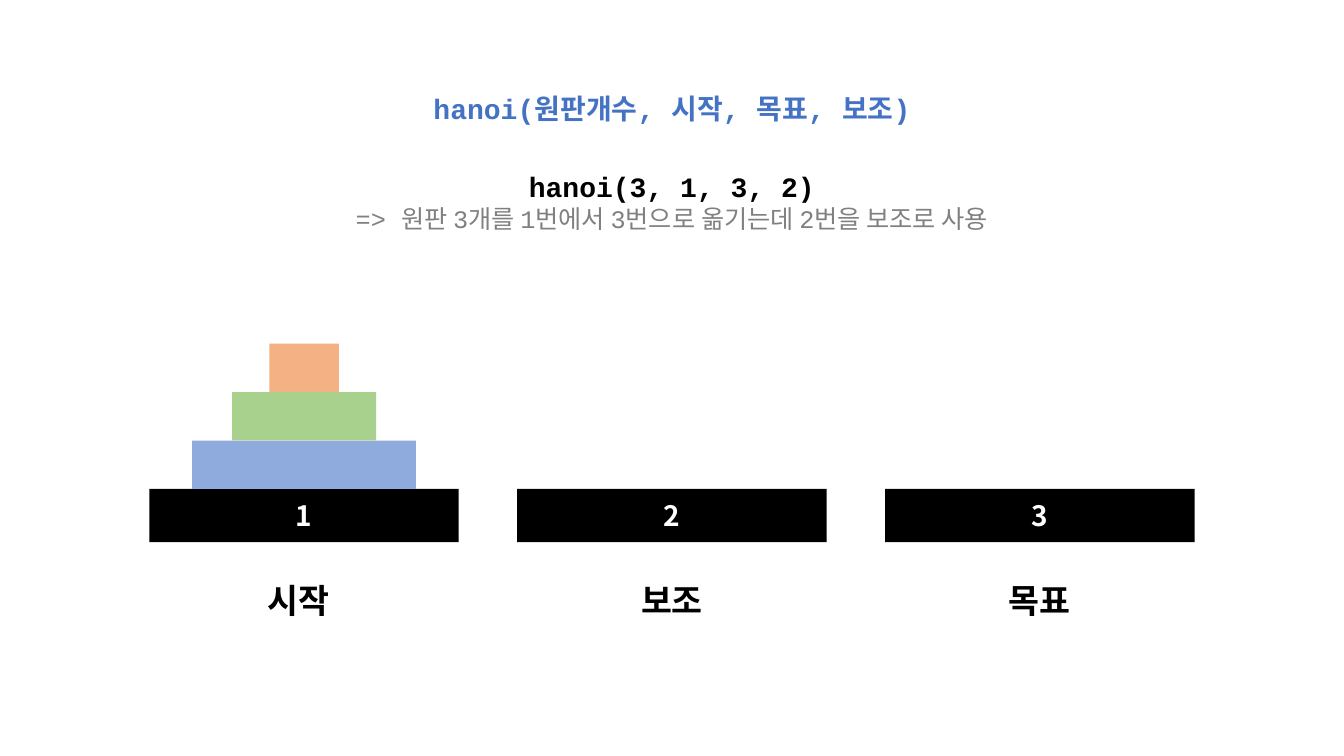
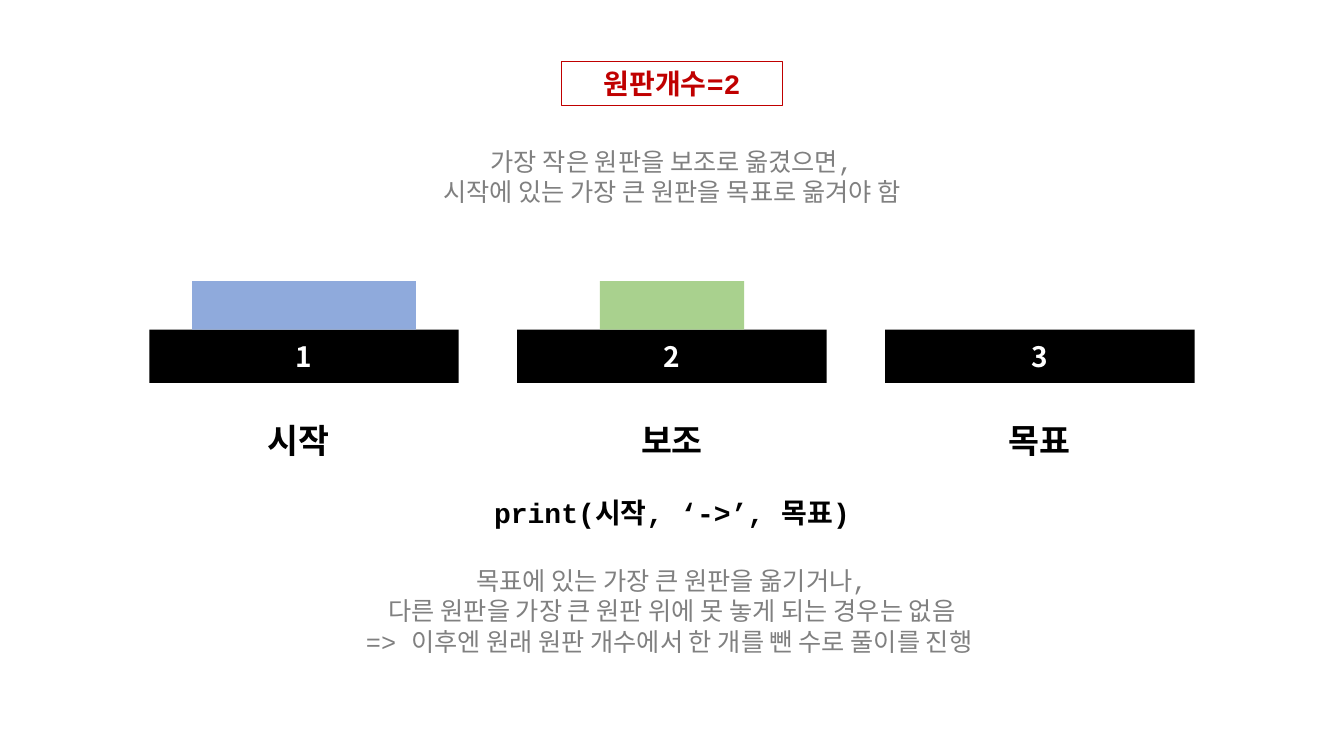
from lxml import etree
from pptx import Presentation, util as u
from pptx.dml.color import RGBColor
from pptx.enum import shapes, text
from pptx.oxml import ns

COLORS = {
    "black": "000000", "white": "FFFFFF", "gray": "808080",
    "blue": "4472C4", "red": "C00000",
    "large": "8FAADC", "medium": "A9D18E", "small": "F4B183",
}
HANGUL = "Noto Sans CJK KR"
CODE = "Courier New"
COLUMNS, ROWS = 160, 90
MIDDLE = COLUMNS / 2
PEG_STEP, PEG_WIDTH, PEG_HEIGHT = 43.8, 36.84, 6.36
DISK_HEIGHT = 5.76
DISK_WIDTHS = {"large": 26.64, "medium": 17.16, "small": 8.28}
ROLES = [("시작", -0.66), ("보조", 0), ("목표", 0)]
CALL = {"size": 20, "bold": True}
NOTE = {"size": 18, "color": "gray"}


def rgb(name):
    return RGBColor.from_string(COLORS[name])


def write(frame, lines, anchor=text.MSO_ANCHOR.TOP):
    frame.word_wrap = True
    frame.auto_size = text.MSO_AUTO_SIZE.NONE
    frame.vertical_anchor = anchor
    frame.margin_left = frame.margin_right = u.Inches(0.1)
    frame.margin_top = frame.margin_bottom = u.Inches(0.05)
    for index, (words, style) in enumerate(lines):
        paragraph = frame.add_paragraph() if index else frame.paragraphs[0]
        format_run(paragraph, words, **style)


def format_run(paragraph, words, size=18, color="black", bold=False, face=CODE):
    paragraph.alignment = text.PP_ALIGN.CENTER
    paragraph.line_spacing = u.Pt(size * 1.2)
    run = paragraph.add_run()
    run.text = words
    run.font.size = u.Pt(size)
    run.font.bold = bold
    run.font.color.rgb = rgb(color)
    run.font.name = face
    latin = run.font._element.find(ns.qn("a:latin"))
    east_asian = etree.Element(ns.qn("a:ea"), typeface=HANGUL)
    latin.addnext(east_asian)


class Stage:
    def __init__(self, deck):
        self.deck = deck
        self.slide = None

    def new_slide(self):
        self.slide = self.deck.slides.add_slide(self.deck.slide_layouts[5])

    def area(self, center, top, width, height):
        column = self.deck.slide_width / COLUMNS
        row = self.deck.slide_height / ROWS
        return (round((center - width / 2) * column), round(top * row),
                round(width * column), round(height * row))

    def title(self, words, top, width, color, border=False):
        heading = self.slide.shapes.title
        heading.left, heading.top, heading.width, heading.height = self.area(
            MIDDLE, top, width, 5.28)
        write(heading.text_frame, [(words, {**CALL, "color": color})])
        if border:
            heading.line.color.rgb = rgb(color)
            heading.line.width = u.Pt(0.75)

    def caption(self, lines, top, width, height, center=MIDDLE):
        caption = self.slide.shapes.add_textbox(*self.area(center, top, width, height))
        write(caption.text_frame, lines)

    def block(self, center, top, width, height, color):
        block = self.slide.shapes.add_shape(
            shapes.MSO_SHAPE.RECTANGLE, *self.area(center, top, width, height))
        block.shadow.inherit = False
        block.fill.solid()
        block.fill.fore_color.rgb = rgb(color)
        block.line.fill.background()
        return block

    def pegs(self, top, stacks):
        for index, ((role, shift), stack) in enumerate(zip(ROLES, stacks)):
            center = MIDDLE + (index - 1) * PEG_STEP
            peg = self.block(center, top, PEG_WIDTH, PEG_HEIGHT, "black")
            number = {**CALL, "color": "white", "face": HANGUL}
            write(peg.text_frame, [(str(index + 1), number)], text.MSO_ANCHOR.MIDDLE)
            for level, disk in enumerate(stack, 1):
                self.block(center, top - level * DISK_HEIGHT,
                           DISK_WIDTHS[disk], DISK_HEIGHT, disk)
            label = {"size": 24, "bold": True, "face": HANGUL}
            self.caption([(role, label)], top + 10.2, 11.52, 6, center + shift)


deck = Presentation()
deck.slide_width, deck.slide_height = u.Inches(13.33), u.Inches(7.5)
stage = Stage(deck)

stage.new_slide()
stage.title("hanoi(원판개수, 시작, 목표, 보조)", 10.32, 60.12, "blue")
stage.caption([
    ("hanoi(3, 1, 3, 2)", CALL),
    ("=> 원판 3개를 1번에서 3번으로 옮기는데 2번을 보조로 사용", NOTE),
], 19.56, 99.36, 8.88)
stage.pegs(58.2, [["large", "medium", "small"], [], []])

stage.new_slide()
stage.title("원판개수=2", 7.32, 26.4, "red", border=True)
stage.caption([
    ("가장 작은 원판을 보조로 옮겼으면,", NOTE),
    ("시작에 있는 가장 큰 원판을 목표로 옮겨야 함", NOTE),
], 16.8, 95.04, 8.52)
stage.pegs(39.24, [["large"], ["medium"], []])
stage.caption([("print(시작, ‘->’, 목표)", CALL)], 58.44, 99.36, 5.28)
stage.caption([
    ("목표에 있는 가장 큰 원판을 옮기거나,", NOTE),
    ("다른 원판을 가장 큰 원판 위에 못 놓게 되는 경우는 없음", NOTE),
    ("=> 이후엔 원래 원판 개수에서 한 개를 뺀 수로 풀이를 진행 ", NOTE),
], 66.72, 95.04, 12.12)

deck.save("out.pptx")
